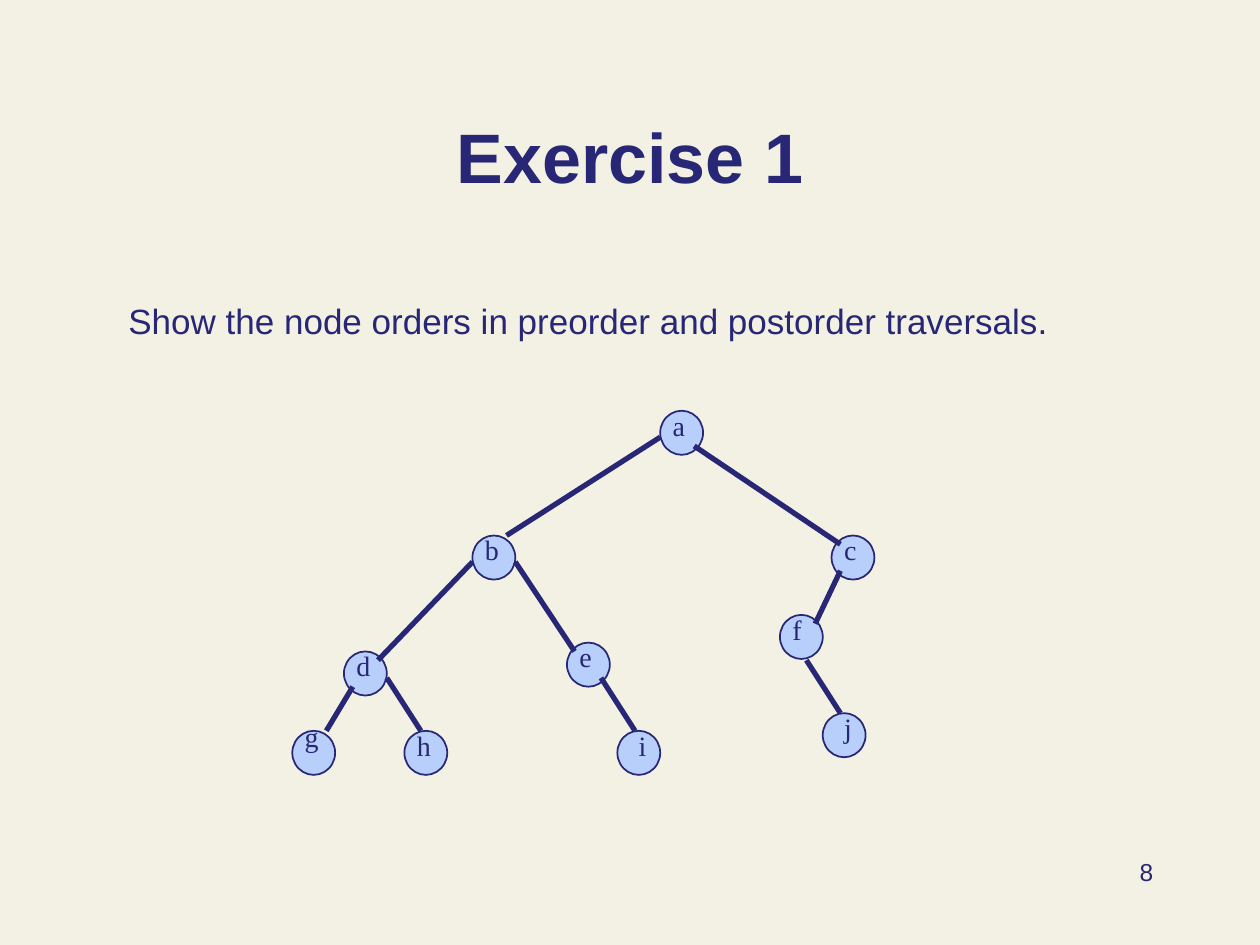
from lxml import etree
from pptx import Presentation
from pptx.dml.color import RGBColor
from pptx.enum.shapes import MSO_CONNECTOR, MSO_SHAPE
from pptx.enum.text import MSO_ANCHOR, PP_ALIGN
from pptx.oxml.ns import qn
from pptx.util import Inches, Pt

NAVY = RGBColor(0x27, 0x27, 0x76)
LIGHT_BLUE = RGBColor(0xB8, 0xCF, 0xFB)
CREAM = RGBColor(0xF3, 0xF1, 0xE4)

TITLE = "Exercise 1"
TASK = "Show the node orders in preorder and postorder traversals."
PAGE = "8"

# Left and top of each tree node
NODES = {
    "a": (5.24, 3.26),
    "b": (3.75, 4.25), "c": (6.6, 4.25),
    "d": (2.73, 5.17), "e": (4.5, 5.1), "f": (6.19, 4.88),
    "g": (2.32, 5.8), "h": (3.21, 5.8), "i": (4.9, 5.8), "j": (6.53, 5.66),
}
NODE_W, NODE_H = 0.34, 0.35

# Start and end of each branch
EDGES = {
    "ab": (5.24, 3.47, 4.02, 4.25), "ac": (5.51, 3.54, 6.67, 4.32),
    "bd": (3.75, 4.46, 3, 5.24), "be": (4.09, 4.46, 4.56, 5.17),
    "cf": (6.67, 4.53, 6.47, 4.95),
    "dg": (2.8, 5.45, 2.59, 5.8), "dh": (3.07, 5.38, 3.34, 5.8),
    "ei": (4.77, 5.38, 5.04, 5.8), "fj": (6.4, 5.24, 6.67, 5.66),
}

# Label position relative to its node
LABEL_SHIFT = (0, -0.07)
LABEL_SHIFTS = {"g": (0, -0.14), "i": (0.07, -0.07), "j": (0.07, -0.07)}


def write(sp, text, size, font="Arial", align=PP_ALIGN.LEFT, bold=False):
    tf = sp.text_frame
    tf.word_wrap = True
    p = tf.paragraphs[0]
    p.alignment = align
    r = p.add_run()
    r.text = text
    r.font.size = Pt(size)
    r.font.name = font
    r.font.bold = bold
    r.font.color.rgb = NAVY


def add_text(shapes, box, text, size, **style):
    write(shapes.add_textbox(*map(Inches, box)), text, size, **style)


def add_node(shapes, x, y):
    sp = shapes.add_shape(MSO_SHAPE.OVAL, *map(Inches, (x, y, NODE_W, NODE_H)))
    sp.shadow.inherit = False
    sp.fill.solid()
    sp.fill.fore_color.rgb = LIGHT_BLUE
    sp.line.color.rgb = NAVY
    sp.line.width = Pt(1)


def add_edge(shapes, ends):
    line = shapes.add_connector(MSO_CONNECTOR.STRAIGHT, *map(Inches, ends))
    line.line.color.rgb = NAVY
    line.line.width = Pt(3)
    etree.SubElement(line._element.spPr, qn("a:effectLst"))


def main():
    prs = Presentation()
    prs.slide_width, prs.slide_height = Inches(10), Inches(7.5)
    s = prs.slides.add_slide(prs.slide_layouts[5])
    s.background.fill.solid()
    s.background.fill.fore_color.rgb = CREAM

    title = s.shapes.title
    title.left, title.top = Inches(0.75), Inches(0.54)
    title.width, title.height = Inches(8.5), Inches(1.08)
    title.text_frame.vertical_anchor = MSO_ANCHOR.BOTTOM
    write(title, TITLE, 40, align=PP_ALIGN.CENTER, bold=True)

    add_text(s.shapes, (0.92, 2.33, 8.49, 1.21), TASK, 20)
    add_text(s.shapes, (7.17, 6.75, 2.08, 0.5), PAGE, 14, align=PP_ALIGN.RIGHT)

    tree = s.shapes.add_group_shape().shapes
    for x, y in NODES.values():
        add_node(tree, x, y)
    for ends in EDGES.values():
        add_edge(tree, ends)
    for name, (x, y) in NODES.items():
        dx, dy = LABEL_SHIFTS.get(name, LABEL_SHIFT)
        add_text(tree, (x + dx, y + dy, 0.68, 0.37), name, 16,
                 font="Times New Roman")

    prs.save("out.pptx")


if __name__ == "__main__":
    main()
